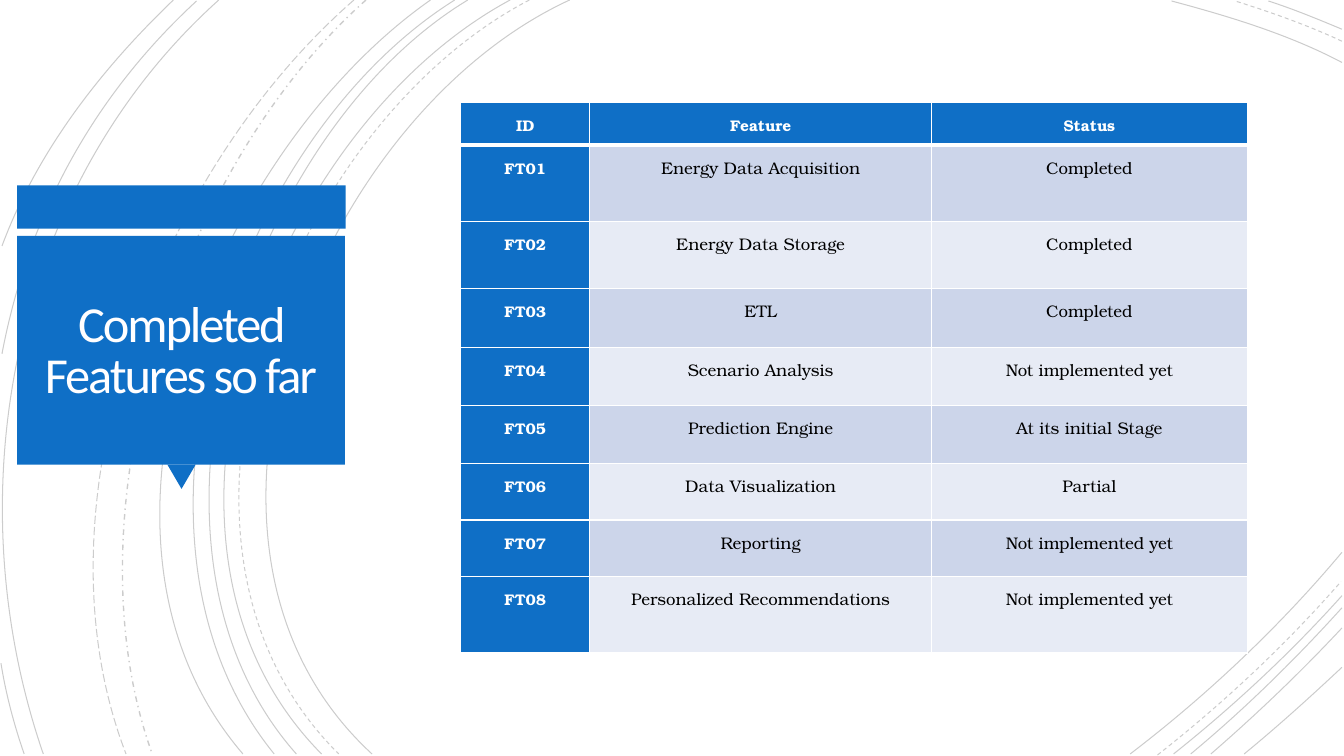
import lxml.etree
import pptx
import pptx.dml.color
import pptx.enum.dml
import pptx.enum.shapes
import pptx.enum.text
import pptx.oxml.ns
import pptx.util

BLUE = "0F6FC6"
WHITE = "FFFFFF"
BANDS = ("CCD5EA", "E7EBF5")
TABLE_FONT = "TeX Gyre Bonum"
SOLID = pptx.enum.dml.MSO_LINE.SOLID
DASH = pptx.enum.dml.MSO_LINE.DASH
LONG_DASH = pptx.enum.dml.MSO_LINE.LONG_DASH
DASH_DOT = pptx.enum.dml.MSO_LINE.DASH_DOT
RECTANGLE = pptx.enum.shapes.MSO_SHAPE.RECTANGLE
TRIANGLE = pptx.enum.shapes.MSO_SHAPE.ISOSCELES_TRIANGLE

ARCS = [
    (SOLID, (5.65, 0), (3.15, 1.15), (1.43, 5.4), (3.69, 7.48)),
    (SOLID, (13.31, 0.62), (12.78, 0.34), (12.18, 0.16), (11.62, 0.01)),
    (SOLID, (11.21, 7.48), (11.97, 6.9), (12.69, 6.22), (13.31, 5.48)),
    (DASH, (5.25, 0), (2.85, 1.25), (1.23, 5.37), (3.36, 7.48)),
    (DASH, (13.31, 0.41), (12.97, 0.25), (12.6, 0.12), (12.25, 0.01)),
    (DASH, (11.48, 7.49), (12.13, 6.98), (12.75, 6.4), (13.3, 5.77)),
    (SOLID, (5.06, 0), (2.7, 1.27), (1.1, 5.37), (3.19, 7.48)),
    (SOLID, (13.31, 0.29), (13.07, 0.19), (12.83, 0.09), (12.58, 0.01)),
    (SOLID, (11.64, 7.48), (12.23, 7.01), (12.8, 6.48), (13.31, 5.91)),
    (SOLID, (4.64, 0), (2.44, 1.33), (1.1, 5.41), (2.94, 7.48)),
    (SOLID, (11.81, 7.48), (12.34, 7.04), (12.84, 6.55), (13.31, 6.03)),
    (SOLID, (4.51, 0), (2.31, 1.38), (0.97, 5.33), (2.72, 7.48)),
    (SOLID, (12.01, 7.48), (12.46, 7.09), (12.9, 6.67), (13.31, 6.23)),
    (SOLID, (4.27, 0), (2.17, 1.47), (0.53, 5.29), (2.41, 7.48)),
    (SOLID, (12.34, 7.48), (12.67, 7.21), (12.99, 6.92), (13.31, 6.62)),
    (DASH_DOT, (3.63, 0), (1.76, 1.66), (0.65, 5.09), (1.51, 7.48)),
    (LONG_DASH, (3.51, 0), (1.57, 1.69), (0.29, 4.99), (1.25, 7.48)),
    (SOLID, (2.17, 0), (0.11, 1.85), (-0.46, 4.9), (0.43, 7.48)),
    (SOLID, (1.95, 0.01), (0.92, 0.96), (0.28, 2.14), (0.02, 3.51)),
    (SOLID, (0.01, 6.58), (0.06, 6.89), (0.14, 7.19), (0.24, 7.48)),
    (SOLID, (1.72, 0), (1, 0.69), (0.37, 1.5), (0.02, 2.44)),
]

COLUMN_WIDTHS = (1.28, 3.39, 3.13)
ROW_HEIGHTS = (0.42, 0.76, 0.66, 0.59, 0.57, 0.58, 0.56, 0.56, 0.76)
FEATURES = [
    ("Energy Data Acquisition", "Completed"),
    ("Energy Data Storage", "Completed"),
    ("ETL", "Completed"),
    ("Scenario Analysis", "Not implemented yet"),
    ("Prediction Engine", "At its initial Stage"),
    ("Data Visualization", "Partial"),
    ("Reporting", "Not implemented yet"),
    ("Personalized Recommendations", "Not implemented yet"),
]


def length(inches):
    """Turn inches into a slide length."""
    return pptx.util.Cm(inches * 2.54)


def lengths(values):
    """Turn several inch values into slide lengths."""
    return [length(value) for value in values]


def color(code):
    """Turn a hex string into a colour."""
    return pptx.dml.color.RGBColor.from_string(code)


def child(parent, tag, **attributes):
    """Append a DrawingML element to a parent."""
    return lxml.etree.SubElement(parent, pptx.oxml.ns.qn(tag), attributes)


def add_arc(page, dash, start, *bends):
    """Draw one faint Bézier arc through its control points."""
    builder = page.shapes.build_freeform(*lengths(start))
    builder.add_line_segments([lengths(point) for point in bends], close=False)
    arc = builder.convert_to_shape()
    arc.shadow.inherit = False
    arc.fill.background()
    arc.line.width = pptx.util.Pt(1 if dash == DASH_DOT else 0.75)
    arc.line.color.rgb = color("000000")
    arc.line.dash_style = dash
    ink = arc._element.xpath("./p:spPr/a:ln//a:srgbClr")[0]
    child(ink, "a:alpha", val="20000")
    outline = arc._element.xpath(".//a:path")[0]
    segments = arc._element.xpath(".//a:lnTo")
    curve = child(outline, "a:cubicBezTo")
    for segment in segments:
        curve.append(segment[0])
        outline.remove(segment)


def add_block(page, kind, place, rotation=0):
    """Add a plain blue shape."""
    block = page.shapes.add_shape(kind, *lengths(place))
    block.rotation = rotation
    block.shadow.inherit = False
    block.fill.solid()
    block.fill.fore_color.rgb = color(BLUE)
    block.line.fill.background()


def write(frame, text, font, size, ink, spacing, bold=False):
    """Write one centred paragraph and return its span."""
    para = frame.paragraphs[0]
    para.alignment = pptx.enum.text.PP_ALIGN.CENTER
    para.line_spacing = spacing
    span = para.add_run()
    span.text = text
    span.font.name = font
    span.font.size = pptx.util.Pt(size)
    span.font.bold = bold
    span.font.color.rgb = color(ink)
    return span


def set_title(page, text, place):
    """Place the title above the blue panel."""
    title = page.shapes.title
    title.left, title.top, title.width, title.height = lengths(place)
    page.shapes._spTree.append(title._element)
    frame = title.text_frame
    frame.word_wrap = True
    frame.auto_size = pptx.enum.text.MSO_AUTO_SIZE.NONE
    frame.vertical_anchor = pptx.enum.text.MSO_ANCHOR.MIDDLE
    frame.margin_left = frame.margin_right = length(0.25)
    frame.margin_top = frame.margin_bottom = length(0.25)
    span = write(frame, text, "Calibri", 36, "FFFEFF", 0.85)
    span.font._element.set("spc", "-150")


def set_borders(cell, widths):
    """Give a cell white borders, with widths in points by side."""
    properties = cell._tc.get_or_add_tcPr()
    for position, (side, points) in enumerate(widths.items()):
        border = child(properties, f"a:ln{side}", w=str(pptx.util.Pt(points)))
        child(child(border, "a:solidFill"), "a:srgbClr", val=WHITE)
        properties.insert(position, border)


def fill_cell(cell, text, row, column):
    """Format and fill one cell of the feature table."""
    heading = row == 0 or column == 0
    cell.margin_left = cell.margin_right = length(0.07)
    cell.margin_top = cell.margin_bottom = 0
    cell.fill.solid()
    cell.fill.fore_color.rgb = color(BLUE if heading else BANDS[(row - 1) % 2])
    set_borders(cell, {"L": 1, "R": 1, "T": 3 if row == 1 else 1, "B": 3 if row == 0 else 1})
    size, ink = (11, WHITE) if heading else (12, "000000")
    write(cell.text_frame, text, TABLE_FONT, size, ink, 1.5, heading)


def add_feature_table(page, left, top):
    """Add the table of features and their status."""
    rows = [("ID", "Feature", "Status")]
    rows += [(f"FT{number:02}", *feature) for number, feature in enumerate(FEATURES, 1)]
    place = lengths((left, top, sum(COLUMN_WIDTHS), sum(ROW_HEIGHTS)))
    table = page.shapes.add_table(len(rows), len(COLUMN_WIDTHS), *place).table
    for column, width in zip(table.columns, COLUMN_WIDTHS):
        column.width = length(width)
    for row, height in zip(table.rows, ROW_HEIGHTS):
        row.height = length(height)
    for row, texts in enumerate(rows):
        for column, text in enumerate(texts):
            fill_cell(table.cell(row, column), text, row, column)


def main():
    """Build and save the slide."""
    deck = pptx.Presentation()
    deck.slide_width, deck.slide_height = lengths((13.33, 7.5))
    page = deck.slides.add_slide(deck.slide_layouts.get_by_name("Title Only"))
    for arc in ARCS:
        add_arc(page, *arc)
    add_block(page, RECTANGLE, (0.17, 1.84, 3.26, 0.43))
    add_block(page, TRIANGLE, (1.66, 4.61, 0.28, 0.24), rotation=180)
    add_block(page, RECTANGLE, (0.17, 2.34, 3.25, 2.27))
    set_title(page, "Completed Features so far", (-0.12, 2.15, 3.83, 2.69))
    add_feature_table(page, 4.57, 1.02)
    deck.save("out.pptx")


if __name__ == "__main__":
    main()
